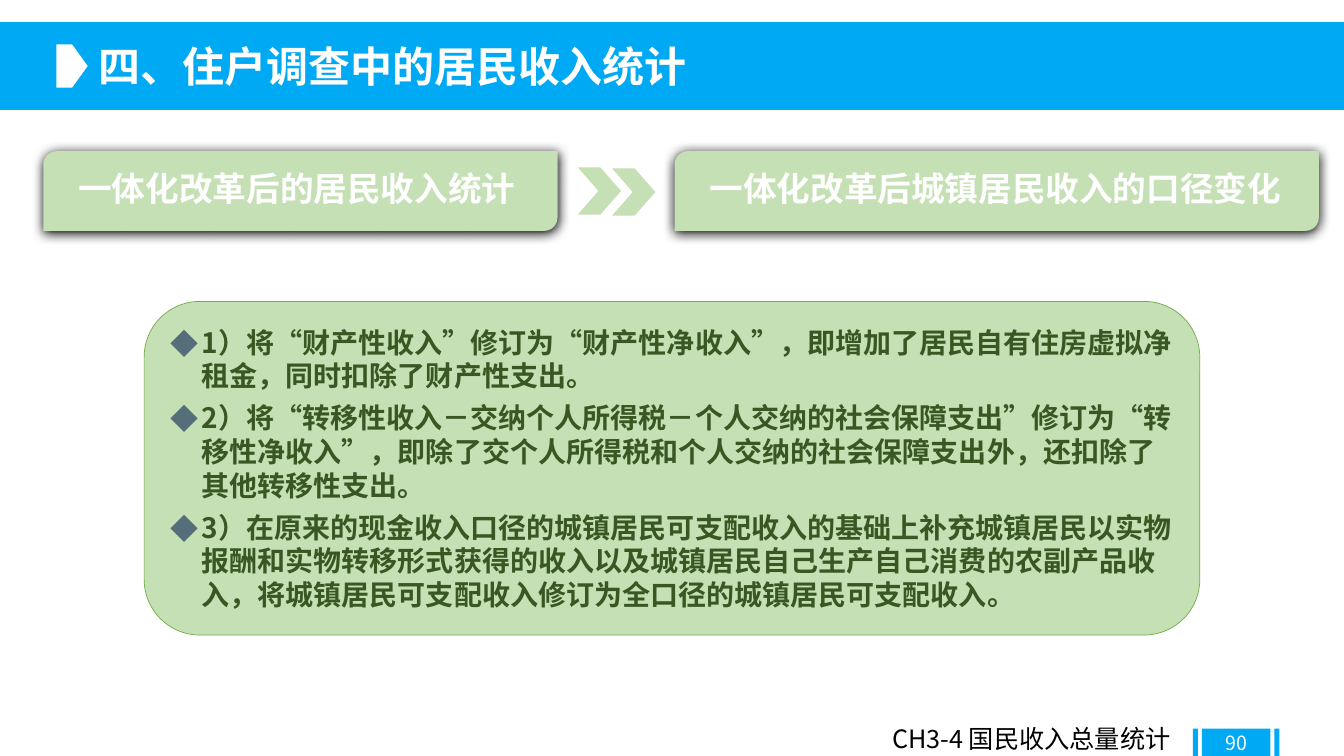
from lxml.etree import SubElement
from pptx import Presentation
from pptx.dml.color import RGBColor
from pptx.enum.shapes import MSO_SHAPE
from pptx.enum.text import MSO_ANCHOR, MSO_AUTO_SIZE, PP_ALIGN
from pptx.oxml.ns import qn
from pptx.util import Inches, Pt

COLORS = {
    "blue": "00A9F3",
    "white": "FFFFFF",
    "black": "000000",
    "pale": "C5E0B4",
    "edge": "70AD47",
    "dark": "385723",
    "bullet": "546E7A",
}
FONT = "Noto Sans CJK SC"

deck = Presentation()
deck.slide_width, deck.slide_height = Inches(13.33), Inches(7.5)
page = deck.slides.add_slide(deck.slide_layouts[5])


def add_block(kind, left, top, width, height, color):
    block = page.shapes.add_shape(
        kind, Inches(left), Inches(top), Inches(width), Inches(height))
    block.shadow.inherit = False
    block.fill.solid()
    block.fill.fore_color.rgb = RGBColor.from_string(COLORS[color])
    block.line.fill.background()
    return block


def write(paragraph, text, size, color, bold=False, align=PP_ALIGN.LEFT):
    paragraph.text = text
    paragraph.alignment = align
    font = paragraph.font
    font.size, font.bold, font.name = Pt(size), bold, FONT
    font.color.rgb = RGBColor.from_string(COLORS[color])
    latin = paragraph._p.pPr.find(qn("a:defRPr")).find(qn("a:latin"))
    east_asian = latin.makeelement(qn("a:ea"), {"typeface": FONT})
    latin.addnext(east_asian)


add_block(MSO_SHAPE.RECTANGLE, 0, 0.22, 13.33, 0.87, "blue")
add_block(MSO_SHAPE.PENTAGON, 0.56, 0.44, 0.31, 0.43, "white")
for left, width in [(11.83, 0.05), (11.92, 0.68), (12.64, 0.05)]:
    add_block(MSO_SHAPE.RECTANGLE, left, 7.23, width, 0.27, "blue")

title = page.shapes.title
title.left, title.top = Inches(0.88), Inches(0.35)
title.width, title.height = Inches(6.09), Inches(0.61)
title.text_frame.word_wrap = False
title.text_frame.auto_size = MSO_AUTO_SIZE.NONE
title.text_frame.vertical_anchor = MSO_ANCHOR.MIDDLE
write(title.text_frame.paragraphs[0], "四、住户调查中的居民收入统计", 30, "white", True)
page.shapes.element.append(title.element)

footers = [
    (11.92, 7.17, 0.68, "90", 14, "white", PP_ALIGN.CENTER, MSO_ANCHOR.MIDDLE),
    (8.75, 7.13, 3.1, "CH3-4 国民收入总量统计", 18, "black", PP_ALIGN.LEFT, MSO_ANCHOR.TOP),
]
for left, top, width, text, size, color, align, anchor in footers:
    box = page.shapes.add_textbox(Inches(left), Inches(top), Inches(width), Inches(0.4))
    box.text_frame.word_wrap = True
    box.text_frame.vertical_anchor = anchor
    write(box.text_frame.paragraphs[0], text, size, color, align=align)

for left, top in [(6.07, 1.67), (5.73, 1.66)]:
    chevron = add_block(MSO_SHAPE.CHEVRON, left, top, 0.43, 0.47, "pale")
    chevron.adjustments[0] = 0.48

headings = [
    (0.43, 5.1, "一体化改革后的居民收入统计"),
    (6.69, 6.39, "一体化改革后城镇居民收入的口径变化"),
]
for left, width, text in headings:
    heading = add_block(MSO_SHAPE.ROUND_2_DIAG_RECTANGLE, left, 1.5, width, 0.79, "pale")
    effects = heading.element.spPr.find(qn("a:effectLst"))
    shadow = SubElement(effects, qn("a:outerShdw"), blurRad=str(Pt(8.5)),
                        dist=str(Pt(1)), dir="5400000", algn="ctr", rotWithShape="0")
    SubElement(shadow, qn("a:srgbClr"), val=COLORS["black"])
    frame = heading.text_frame
    frame.margin_left = frame.margin_right = Inches(0.31)
    frame.margin_top = frame.margin_bottom = Inches(0.12)
    frame.vertical_anchor = MSO_ANCHOR.MIDDLE
    frame.paragraphs[0].line_spacing = 0.9
    write(frame.paragraphs[0], text, 24, "white", True)

panel = add_block(MSO_SHAPE.ROUNDED_RECTANGLE, 1.43, 2.99, 10.47, 3.31, "pale")
panel.line.color.rgb = RGBColor.from_string(COLORS["edge"])
panel.line.width = Pt(0.5)
panel.text_frame.vertical_anchor = MSO_ANCHOR.MIDDLE
changes = [
    "1）将“财产性收入”修订为“财产性净收入”，即增加了居民自有住房虚拟净租金，同时扣除了财产性支出。",
    "2）将“转移性收入－交纳个人所得税－个人交纳的社会保障支出”修订为“转移性净收入”，即除了交个人所得税和个人交纳的社会保障支出外，还扣除了其他转移性支出。",
    "3）在原来的现金收入口径的城镇居民可支配收入的基础上补充城镇居民以实物报酬和实物转移形式获得的收入以及城镇居民自己生产自己消费的农副产品收入，将城镇居民可支配收入修订为全口径的城镇居民可支配收入。",
]
for index, text in enumerate(changes):
    paragraph = panel.text_frame.paragraphs[0] if index == 0 else panel.text_frame.add_paragraph()
    if index:
        paragraph.space_before = Pt(6)
    properties = paragraph._p.get_or_add_pPr()
    properties.set("marL", str(Inches(0.31)))
    properties.set("indent", str(-Inches(0.31)))
    bullet_color = SubElement(properties, qn("a:buClr"))
    SubElement(bullet_color, qn("a:srgbClr"), val=COLORS["bullet"])
    SubElement(properties, qn("a:buFont"), typeface=FONT)
    SubElement(properties, qn("a:buChar"), char="◆")
    write(paragraph, text, 20, "dark", True)

deck.save("out.pptx")
